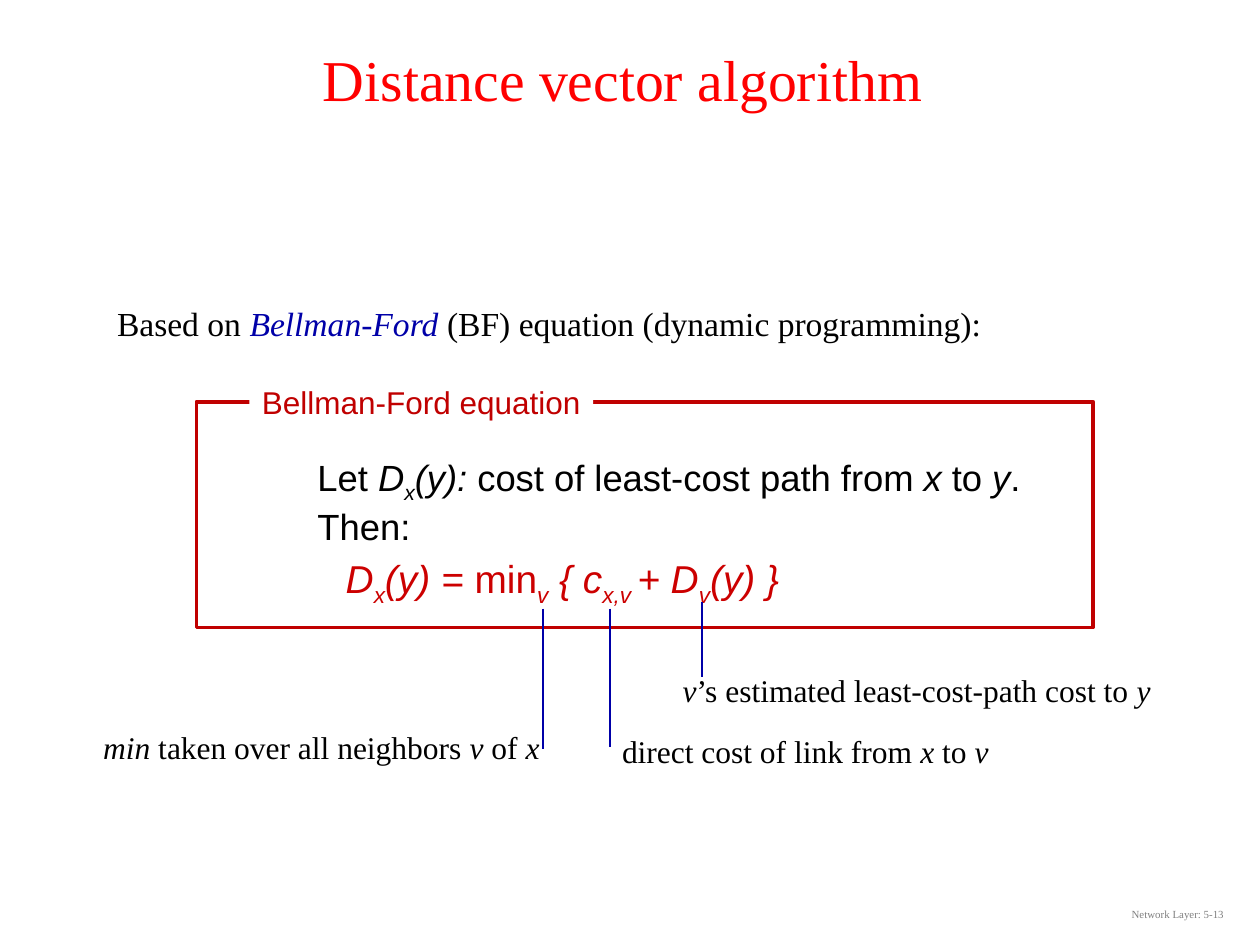
from dataclasses import dataclass

from lxml import etree
from pptx import Presentation
from pptx import util as u
from pptx.dml.color import RGBColor
from pptx.enum import shapes, text
from pptx.oxml.ns import qn


@dataclass(frozen=True)
class Theme:
    serif: str = "Times New Roman"
    sans: str = "Arial"
    black: str = "000000"
    white: str = "FFFFFF"
    gray: str = "808080"
    title_red: str = "FF0000"
    frame_red: str = "C00000"
    formula_red: str = "CC0000"
    blue: str = "0000A8"
    title: float = 33
    body: float = 19.2
    label: float = 18
    definition: float = 20.8
    formula: float = 22.2
    footer: float = 6.2


class SlideBuilder:
    def __init__(self, slide, theme):
        self.s = slide
        self.theme = theme

    def paragraph(self, p, runs, size, color, font):
        """Write (text, style) runs; style letters: i italic, s subscript, b blue."""
        p.font.size = u.Pt(size)
        p.font.name = font
        p.font.color.rgb = RGBColor.from_string(color)
        for words, style in runs:
            r = p.add_run()
            r.text = words
            if "i" in style:
                r.font.italic = True
            if "s" in style:
                r._r.get_or_add_rPr().set("baseline", "-25000")
            if "b" in style:
                r.font.color.rgb = RGBColor.from_string(self.theme.blue)

    def indent(self, p, left, first=0):
        pPr = p._p.get_or_add_pPr()
        pPr.set("marL", str(u.Cm(left)))
        pPr.set("indent", str(u.Cm(first)))

    def textbox(self, box, wrap=True, middle=False):
        sp = self.s.shapes.add_textbox(*map(u.Cm, box))
        tf = sp.text_frame
        tf.word_wrap = wrap
        if middle:
            tf.vertical_anchor = text.MSO_ANCHOR.MIDDLE
        return tf

    def line_of_text(self, box, runs, size, color, align=None):
        tf = self.textbox(box, middle=True)
        p = tf.paragraphs[0]
        p.alignment = align
        self.paragraph(p, runs, size, color, self.theme.serif)
        return p

    def rectangle(self, box, fill=None, line=None):
        sp = self.s.shapes.add_shape(shapes.MSO_SHAPE.RECTANGLE, *map(u.Cm, box))
        sp.shadow.inherit = False
        if fill:
            sp.fill.solid()
            sp.fill.fore_color.rgb = RGBColor.from_string(fill)
        else:
            sp.fill.background()
        if line:
            sp.line.color.rgb = RGBColor.from_string(line)
            sp.line.width = u.Pt(2)
        else:
            sp.line.fill.background()
        return sp

    def caption(self, box, words):
        sp = self.rectangle(box, fill=self.theme.white)
        tf = sp.text_frame
        tf.word_wrap = False
        tf.vertical_anchor = text.MSO_ANCHOR.TOP
        p = tf.paragraphs[0]
        p.alignment = text.PP_ALIGN.LEFT
        self.paragraph(p, [(words, "")], self.theme.label,
                       self.theme.frame_red, self.theme.sans)

    def callout(self, box, runs, x, top, bottom):
        tf = self.textbox(box, wrap=False)
        self.paragraph(tf.paragraphs[0], runs, self.theme.label,
                       self.theme.black, self.theme.serif)
        line = self.s.shapes.add_connector(
            shapes.MSO_CONNECTOR.STRAIGHT, *map(u.Cm, (x, top, x, bottom)))
        line.line.color.rgb = RGBColor.from_string(self.theme.blue)
        line.line.width = u.Pt(1)
        etree.SubElement(line._element.spPr, qn("a:effectLst"))

    def equation(self, box, rows):
        tf = self.textbox(box)
        tf.margin_left = tf.margin_right = u.Cm(0.18)
        tf.margin_top = tf.margin_bottom = u.Cm(0.1)
        for i, (runs, size, color, left) in enumerate(rows):
            p = tf.add_paragraph() if i else tf.paragraphs[0]
            self.indent(p, left, -0.61)
            p.line_spacing = 0.7
            p.space_before = u.Pt(10)
            self.paragraph(p, runs, size, color, self.theme.sans)


def main():
    prs = Presentation()
    prs.slide_width, prs.slide_height = u.Cm(25.4), u.Cm(19.05)
    th = Theme()
    b = SlideBuilder(prs.slides.add_slide(prs.slide_layouts[6]), th)

    # Title, introduction and footer
    b.line_of_text((0, 0, 25.4, 3.18), [("Distance vector algorithm ", "")],
                   th.title, th.title_red, text.PP_ALIGN.CENTER)
    intro = b.line_of_text(
        (1.75, 5.97, 22.53, 1.07),
        [("Based on ", ""), ("Bellman-Ford", "ib"),
         (" (BF) equation (dynamic programming):", "")],
        th.body, th.black)
    b.indent(intro, 0.36)
    intro.space_before = u.Pt(3.84)
    b.line_of_text((19.2, 17.91, 5.72, 1.02), [("Network Layer: 5-13", "")],
                   th.footer, th.gray, text.PP_ALIGN.RIGHT)

    # Framed equation
    b.equation((5.84, 9.25, 16.56, 4.11), [
        ([("Let ", ""), ("D", "i"), ("x", "is"), ("(y): ", "i"),
          ("cost of least-cost path from ", ""), ("x", "i"), (" to ", ""),
          ("y", "i"), (".", "")], th.definition, th.black, 0.99),
        ([("Then:", "")], th.definition, th.black, 0.99),
        ([("D", "i"), ("x", "is"), ("(y) = ", "i"), ("min", ""), ("v", "is"),
          (" { c", "i"), ("x,v ", "is"), ("+ D", "i"), ("v", "is"),
          ("(y) }", "i")], th.formula, th.formula_red, 1.56),
    ])
    b.rectangle((3.96, 8.1, 18.08, 4.55), line=th.frame_red)
    b.caption((5.03, 7.59, 6.93, 1.02), "Bellman-Ford equation")

    # Callouts for the terms of the equation
    b.callout((1.83, 14.55, 9.32, 1.02),
              [("min", "i"), (" taken over all neighbors", ""), (" v ", "i"),
               ("of ", ""), ("x", "i")], 10.95, 12.27, 15.09)
    b.callout((13.51, 13.41, 9.96, 1.02),
              [("v", "i"), ("’s estimated least-cost-path cost to ", ""),
               ("y", "i")], 14.15, 12.14, 13.64)
    b.callout((12.29, 14.63, 7.9, 1.02),
              [("direct cost of link from", ""), (" x ", "i"), ("to ", ""),
               ("v", "i")], 12.29, 12.27, 15.06)

    prs.save("out.pptx")


if __name__ == "__main__":
    main()
